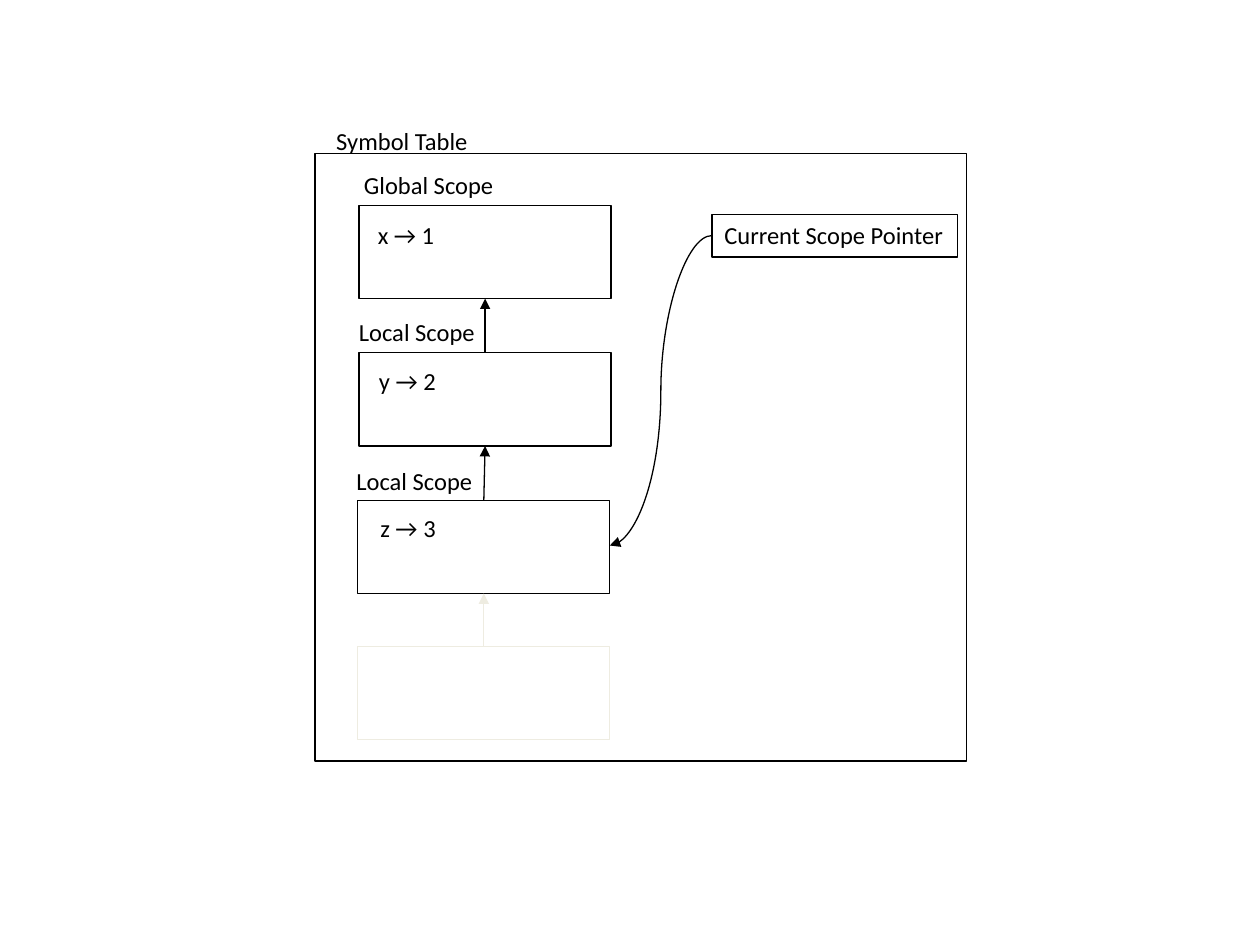
from lxml import etree
from pptx import Presentation
from pptx.dml.color import RGBColor
from pptx.enum.shapes import MSO_CONNECTOR, MSO_SHAPE
from pptx.enum.text import MSO_ANCHOR, MSO_AUTO_SIZE, PP_ALIGN
from pptx.oxml.ns import qn
from pptx.util import Inches, Pt

RECTANGLE = MSO_SHAPE.RECTANGLE
STRAIGHT, CURVE = MSO_CONNECTOR.STRAIGHT, MSO_CONNECTOR.CURVE
TOP, LEFT = MSO_ANCHOR.TOP, PP_ALIGN.LEFT
FIT_SHAPE = MSO_AUTO_SIZE.SHAPE_TO_FIT_TEXT

BLACK = RGBColor(0x00, 0x00, 0x00)
FADED = RGBColor(0xEE, 0xEC, 0xE1)
FONT = "Calibri"
LINE_WIDTH = Pt(0.75)
SCOPE_WIDTH, SCOPE_HEIGHT = 2, 0.74
LABEL_HEIGHT = 0.34

# Left, top and color of each scope, from the outermost inwards
SCOPES = [
    (2.85, 1.63, BLACK),
    (2.85, 2.8, BLACK),
    (2.84, 3.97, BLACK),
    (2.84, 5.13, FADED),
]
CURRENT_SCOPE = SCOPES[2]

# Text, left, top and width
LABELS = [
    ("Symbol Table", 2.57, 0.95, 1.25),
    ("Global Scope", 2.79, 1.3, 1.24),
    ("x → 1", 2.9, 1.7, 0.67),
    ("Local Scope", 2.75, 2.47, 1.17),
    ("y → 2", 2.91, 2.86, 0.67),
    ("Local Scope", 2.73, 3.65, 1.17),
    ("z → 3", 2.92, 4.02, 0.66),
]


def add_box(slide, left, top, width, height, color=BLACK):
    box = slide.shapes.add_shape(
        RECTANGLE, Inches(left), Inches(top), Inches(width), Inches(height))
    box.shadow.inherit = False
    box.fill.background()
    box.line.color.rgb = color
    box.line.width = LINE_WIDTH
    return box


def write_text(box, text):
    frame = box.text_frame
    frame.word_wrap = False
    frame.auto_size = FIT_SHAPE
    frame.vertical_anchor = TOP
    para = frame.paragraphs[0]
    para.alignment = LEFT
    span = para.add_run()
    span.text = text
    span.font.name = FONT
    span.font.size = Pt(14)
    span.font.color.rgb = BLACK


def add_label(slide, text, left, top, width):
    box = slide.shapes.add_textbox(
        Inches(left), Inches(top), Inches(width), Inches(LABEL_HEIGHT))
    write_text(box, text)


def add_arrow(slide, kind, start, end, color=BLACK):
    arrow = slide.shapes.add_connector(
        kind, *(Inches(value) for value in (*start, *end)))
    arrow.line.color.rgb = color
    arrow.line.width = LINE_WIDTH
    properties = arrow._element.spPr
    etree.SubElement(properties.find(qn("a:ln")), qn("a:tailEnd"), type="triangle")
    etree.SubElement(properties, qn("a:effectLst"))


def add_parent_arrow(slide, child, parent):
    child_left, child_top, color = child
    parent_left, parent_top, _ = parent
    add_arrow(slide, STRAIGHT,
              (child_left + SCOPE_WIDTH / 2, child_top),
              (parent_left + SCOPE_WIDTH / 2, parent_top + SCOPE_HEIGHT),
              color)


def add_current_scope_pointer(slide, left, top):
    box = add_box(slide, left, top, 1.95, LABEL_HEIGHT)
    write_text(box, "Current Scope Pointer")
    scope_left, scope_top, _ = CURRENT_SCOPE
    add_arrow(slide, CURVE,
              (left, top + LABEL_HEIGHT / 2),
              (scope_left + SCOPE_WIDTH, scope_top + SCOPE_HEIGHT / 2 - 0.01))


def main():
    deck = Presentation()
    deck.slide_width, deck.slide_height = Inches(10), Inches(7.5)
    slide = deck.slides.add_slide(deck.slide_layouts[6])

    add_box(slide, 2.5, 1.22, 5.17, 4.82)
    for left, top, color in SCOPES:
        add_box(slide, left, top, SCOPE_WIDTH, SCOPE_HEIGHT, color)
    for parent, child in zip(SCOPES, SCOPES[1:]):
        add_parent_arrow(slide, child, parent)
    for label in LABELS:
        add_label(slide, *label)
    add_current_scope_pointer(slide, 5.65, 1.7)

    deck.save("out.pptx")


if __name__ == "__main__":
    main()
